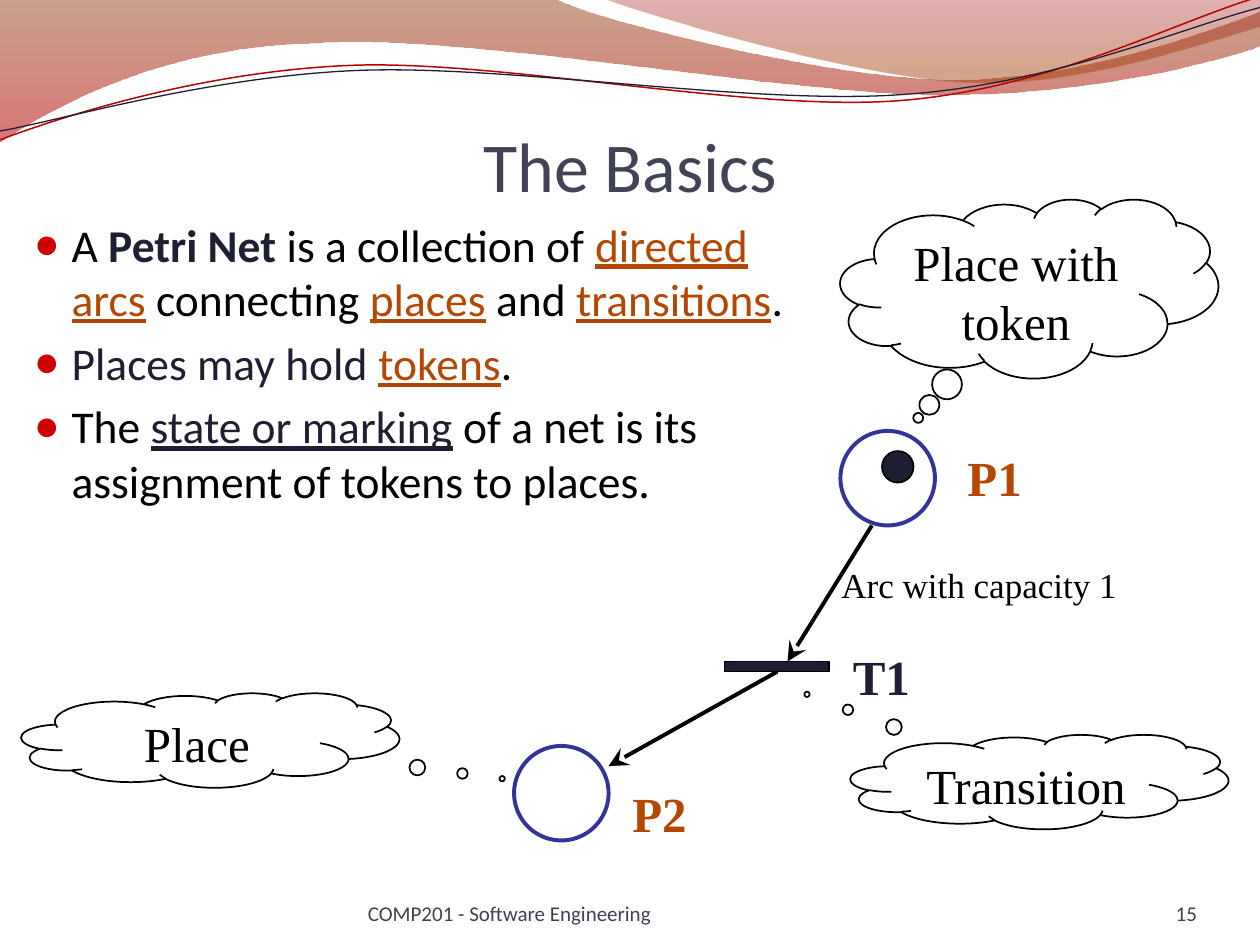
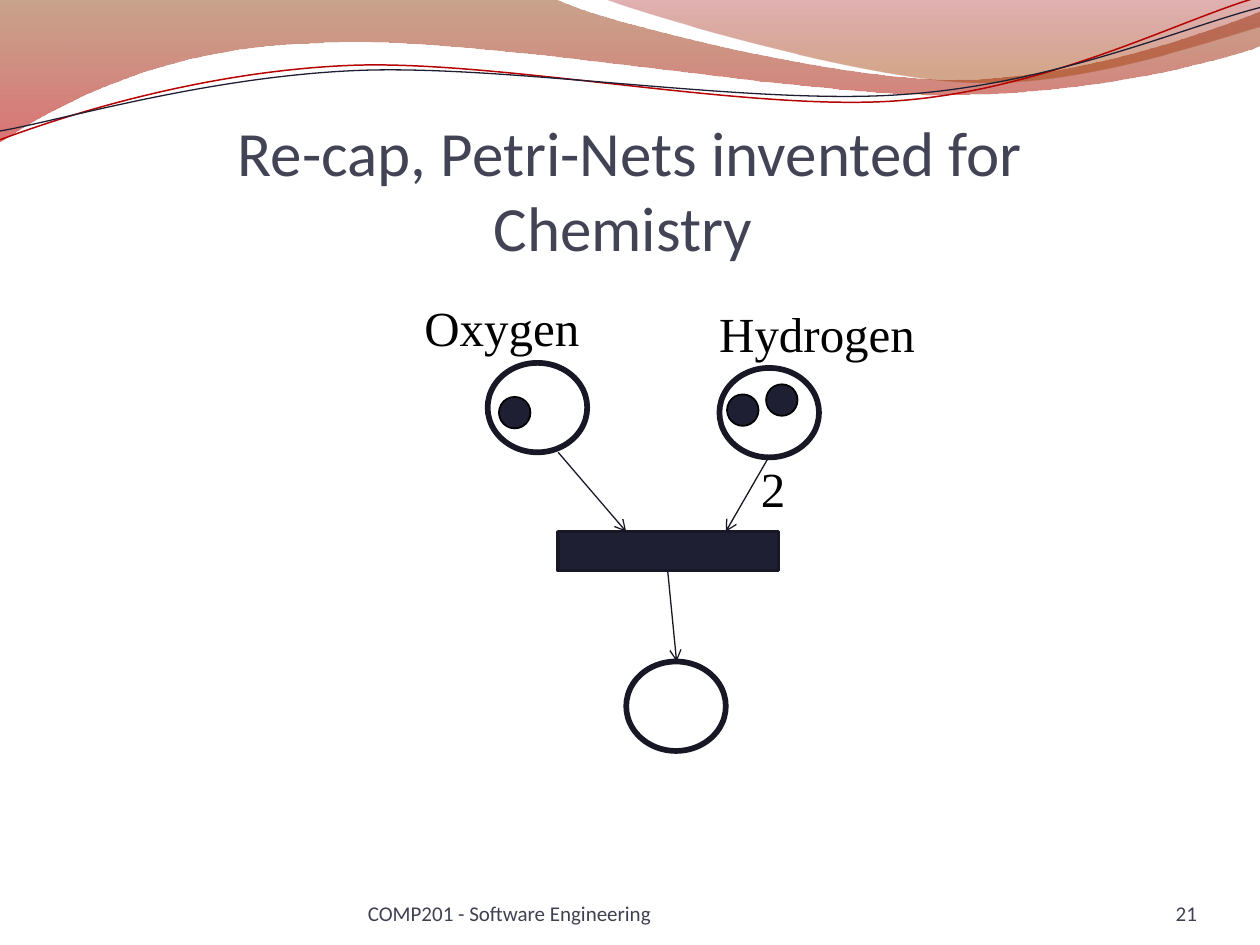
from lxml import etree
from pptx import Presentation
from pptx.dml.color import RGBColor
from pptx.enum.shapes import MSO_CONNECTOR, MSO_SHAPE
from pptx.enum.text import MSO_ANCHOR, MSO_AUTO_SIZE, PP_ALIGN
from pptx.oxml.ns import qn
from pptx.util import Inches, Pt

BLACK = RGBColor(0x00, 0x00, 0x00)
WHITE = RGBColor(0xFF, 0xFF, 0xFF)
NAVY = RGBColor(0x1F, 0x1F, 0x33)
DARK_NAVY = RGBColor(0x17, 0x17, 0x26)
PLACE_BLUE = RGBColor(0x33, 0x33, 0x99)
TERM_ORANGE = RGBColor(0xB5, 0x47, 0x03)
TITLE_GREY = RGBColor(0x42, 0x44, 0x56)
FOOTER_GREY = RGBColor(0x3F, 0x41, 0x52)
WAVE_RED = RGBColor(0xB6, 0x02, 0x02)
BULLET_RED = RGBColor(0xCE, 0x02, 0x02)

HEADING_FONT = "Calibri"
DIAGRAM_FONT = "Times New Roman"
FOOTER = "COMP201 - Software Engineering"

WIDE_BAND = [
    (0, 0), (4.4, -0.01),
    (4.76, 0.17, 6.64, 0.63, 7.58, 0.63), (8.53, 0.63, 9.58, 0.26, 10, 0.09),
    (10.01, 0.36),
    (9.83, 0.44, 8.7, 0.76, 7.46, 0.75), (6.22, 0.75, 3.82, 0.28, 2.57, 0.34),
    (1.29, 0.36, 0.46, 0.83, -0.01, 1.13), (0, 0),
]
RIGHT_BAND = [
    (4.79, -0.01),
    (5.09, 0.11, 6.82, 0.62, 7.69, 0.65), (8.56, 0.69, 9.61, 0.32, 10, 0.21),
    (10, 0), (4.79, -0.01),
]
RED_WAVE = [
    (0, 1.11),
    (0.48, 0.93, 1.58, 0.57, 2.77, 0.52), (3.95, 0.47, 5.93, 0.89, 7.13, 0.8),
    (8.33, 0.71, 9.38, 0.15, 9.98, -0.02),
]
NAVY_WAVE = [
    (0, 1.04),
    (0.47, 0.96, 1.64, 0.61, 2.83, 0.56), (4.03, 0.51, 5.97, 0.84, 7.17, 0.75),
    (8.36, 0.67, 9.41, 0.21, 10, 0.06),
]
WIDE_STOPS = [(0, RGBColor(0x88, 0x34, 0x00), 45), (1, RGBColor(0xBD, 0x00, 0x00), 55)]
RIGHT_STOPS = [(0, RGBColor(0x9A, 0x00, 0x00), 30), (0.8, RGBColor(0xA2, 0x3E, 0x00), 45)]

BASICS = [
    [("A ", BLACK, ""), ("Petri Net", NAVY, "b"), (" is a collection of ", BLACK, ""),
     ("directed arcs", TERM_ORANGE, "u"), (" connecting ", BLACK, ""),
     ("places", TERM_ORANGE, "u"), (" and ", BLACK, ""),
     ("transitions", TERM_ORANGE, "u"), (".", BLACK, "")],
    [("Places may hold ", NAVY, ""), ("tokens", TERM_ORANGE, "u"), (".", BLACK, "")],
    [("The ", BLACK, ""), ("state or marking", NAVY, "u"),
     (" of a net is its assignment of tokens to places.", BLACK, "")],
]


def add_xml(parent, tag, **attributes):
    return etree.SubElement(parent, qn(tag), attributes)


def style_font(font, size, color, name=DIAGRAM_FONT, bold=False):
    font.name = name
    font.size = Pt(size)
    font.bold = bold
    font.color.rgb = color


def add_outline(slide, segments, close):
    points = [(Inches(x), Inches(y))
              for segment in segments for x, y in zip(segment[::2], segment[1::2])]
    builder = slide.shapes.build_freeform(*points[0])
    builder.add_line_segments(points[1:], close=close)
    outline = builder.convert_to_shape()
    outline.shadow.inherit = False
    steps = iter(list(outline._element.spPr.iter(qn("a:lnTo"))))
    for segment in segments[1:]:
        step = next(steps)
        if len(segment) == 6:
            curve = etree.Element(qn("a:cubicBezTo"))
            step.addprevious(curve)
            for corner in (step, next(steps), next(steps)):
                curve.append(corner[0])
                corner.getparent().remove(corner)
    return outline


def add_band(slide, segments, stops):
    band = add_outline(slide, segments, True)
    band.line.fill.background()
    band.fill.gradient()
    band.fill.gradient_angle = 270
    for stop, (position, color, _) in zip(band.fill.gradient_stops, stops):
        stop.position = position
        stop.color.rgb = color
    tints = band._element.spPr.iter(qn("a:srgbClr"))
    for tint, (_, _, opacity) in zip(tints, stops):
        add_xml(tint, "a:alpha", val=str(opacity * 1000))


def add_wave(slide, segments, color, width):
    wave = add_outline(slide, segments, False)
    wave.fill.background()
    wave.line.color.rgb = color
    wave.line.width = Pt(width)


def add_label(slide, text, left, top, width, height=0.57, size=28, color=BLACK, bold=False):
    label = slide.shapes.add_textbox(Inches(left), Inches(top), Inches(width), Inches(height))
    frame = label.text_frame
    frame.word_wrap = True
    frame.text = text
    style_font(frame.paragraphs[0].runs[0].font, size, color, bold=bold)
    return frame


def add_footer(slide, text, left, width, align):
    frame = add_label(slide, text, left, 6.95, width, 0.4)
    frame.margin_left = frame.margin_right = frame.margin_top = frame.margin_bottom = 0
    frame.vertical_anchor = MSO_ANCHOR.BOTTOM
    frame.paragraphs[0].alignment = align
    style_font(frame.paragraphs[0].runs[0].font, 12, FOOTER_GREY, HEADING_FONT)


def add_titled_slide(deck, text, top, size, number):
    slide = deck.slides.add_slide(deck.slide_layouts[5])
    add_band(slide, WIDE_BAND, WIDE_STOPS)
    add_band(slide, RIGHT_BAND, RIGHT_STOPS)
    add_wave(slide, RED_WAVE, WAVE_RED, 0.85)
    add_wave(slide, NAVY_WAVE, NAVY, 0.75)

    title = slide.shapes.title
    title.left, title.top = Inches(0.5), Inches(top)
    title.width, title.height = Inches(9), Inches(0.87)
    frame = title.text_frame
    frame.text = text
    frame.auto_size = MSO_AUTO_SIZE.NONE
    frame.vertical_anchor = MSO_ANCHOR.BOTTOM
    frame.margin_left = frame.margin_right = frame.margin_bottom = 0
    frame.margin_top = Inches(0.05)
    frame.paragraphs[0].alignment = PP_ALIGN.CENTER
    for run in frame.paragraphs[0].runs:
        style_font(run.font, size, TITLE_GREY, HEADING_FONT)

    add_footer(slide, FOOTER, 2.92, 3.67, PP_ALIGN.LEFT)
    add_footer(slide, str(number), 8.67, 0.83, PP_ALIGN.RIGHT)
    return slide


def add_bullets(slide, items):
    box = slide.shapes.add_textbox(Inches(0.17), Inches(1.67), Inches(6.5), Inches(4.5))
    frame = box.text_frame
    frame.word_wrap = True
    for index, item in enumerate(items):
        paragraph = frame.add_paragraph() if index else frame.paragraphs[0]
        properties = paragraph._p.get_or_add_pPr()
        properties.set("marL", str(Inches(0.3)))
        properties.set("indent", str(Inches(-0.3)))
        add_xml(add_xml(properties, "a:buClr"), "a:srgbClr", val=str(BULLET_RED))
        add_xml(properties, "a:buSzPct", val="95000")
        add_xml(properties, "a:buFont", typeface=DIAGRAM_FONT)
        add_xml(properties, "a:buChar", char="●")
        if index:
            paragraph.space_before = Pt(5.2)
        for text, color, emphasis in item:
            run = paragraph.add_run()
            run.text = text
            style_font(run.font, 26, color, HEADING_FONT, emphasis == "b")
            run.font.underline = emphasis == "u"


def add_node(slide, kind, left, top, width, height, fill, line, line_width):
    node = slide.shapes.add_shape(kind, Inches(left), Inches(top), Inches(width), Inches(height))
    node.shadow.inherit = False
    if fill is None:
        node.fill.background()
    else:
        node.fill.solid()
        node.fill.fore_color.rgb = fill
    node.line.color.rgb = line
    node.line.width = Pt(line_width)
    return node


def add_token(slide, left, top):
    add_node(slide, MSO_SHAPE.OVAL, left, top, 0.25, 0.25, NAVY, BLACK, 1)


def add_cloud(slide, text, left, top, height, pointer):
    cloud = add_node(slide, MSO_SHAPE.CLOUD_CALLOUT, left, top, 3, height, None, BLACK, 1)
    cloud.adjustments[0], cloud.adjustments[1] = pointer
    frame = cloud.text_frame
    frame.text = text
    frame.vertical_anchor = MSO_ANCHOR.TOP
    frame.paragraphs[0].alignment = PP_ALIGN.CENTER
    style_font(frame.paragraphs[0].runs[0].font, 28, BLACK)


def add_arc(slide, start, end, color, width, head, head_size):
    ends = [Inches(value) for value in (*start, *end)]
    arc = slide.shapes.add_connector(MSO_CONNECTOR.STRAIGHT, *ends)
    arc.line.color.rgb = color
    arc.line.width = Pt(width)
    add_xml(arc.line._get_or_add_ln(), "a:tailEnd", type=head, w=head_size, len=head_size)
    add_xml(arc._element.spPr, "a:effectLst")


def build_basics(deck):
    slide = add_titled_slide(deck, "The Basics", 0.77, 40, 15)
    add_bullets(slide, BASICS)
    for left, top in [(6.67, 3.42), (4.08, 5.92)]:
        add_node(slide, MSO_SHAPE.OVAL, left, top, 0.75, 0.75, None, PLACE_BLUE, 2.25)
    add_node(slide, MSO_SHAPE.RECTANGLE, 5.75, 5.25, 0.83, 0.08, NAVY, BLACK, 1)
    for start, end in [((6.92, 4.17), (6.25, 5.25)), ((6.17, 5.33), (4.83, 6.08))]:
        add_arc(slide, start, end, BLACK, 2.25, "stealth", "lg")
    for name, left, top, color in [("P1", 7.58, 3.5, TERM_ORANGE),
                                   ("P2", 4.92, 6.17, TERM_ORANGE),
                                   ("T1", 6.67, 5.08, NAVY)]:
        add_label(slide, name, left, top, 0.67, color=color, bold=True)
    add_label(slide, "Arc with capacity 1", 6.58, 4.42, 2.5, 0.43, size=20)
    add_token(slide, 7, 3.58)
    add_cloud(slide, "Place with token", 6.67, 1.58, 1.42, (-0.294, 0.723))
    add_cloud(slide, "Transition", 6.75, 5.83, 0.75, (-0.615, -0.926))
    add_cloud(slide, "Place", 0.17, 5.5, 0.75, (0.772, 0.407))


def build_chemistry(deck):
    slide = add_titled_slide(deck, "Re-cap, Petri-Nets invented for\vChemistry ", 1.23, 36, 21)
    for left, top in [(3.87, 2.88), (5.71, 2.92), (4.97, 5.25)]:
        add_node(slide, MSO_SHAPE.OVAL, left, top, 0.79, 0.71, WHITE, DARK_NAVY, 3.25)
    add_node(slide, MSO_SHAPE.RECTANGLE, 4.43, 4.22, 1.75, 0.31, NAVY, DARK_NAVY, 2)
    for start, end in [((4.43, 3.59), (4.97, 4.22)),
                       ((6.1, 3.63), (5.76, 4.22)),
                       ((5.3, 4.54), (5.37, 5.25))]:
        add_arc(slide, start, end, DARK_NAVY, 0.75, "arrow", "med")
    add_label(slide, "Hydrogen", 5.61, 2.36, 1.77)
    add_label(slide, "Oxygen", 3.27, 2.31, 1.44)
    add_label(slide, "2", 5.94, 3.59, 0.4)
    for left, top in [(3.96, 3.15), (5.77, 3.13), (6.08, 3.05)]:
        add_token(slide, left, top)


def main():
    deck = Presentation()
    deck.slide_width, deck.slide_height = Inches(10), Inches(7.5)
    build_basics(deck)
    build_chemistry(deck)
    deck.save("out.pptx")


if __name__ == "__main__":
    main()
